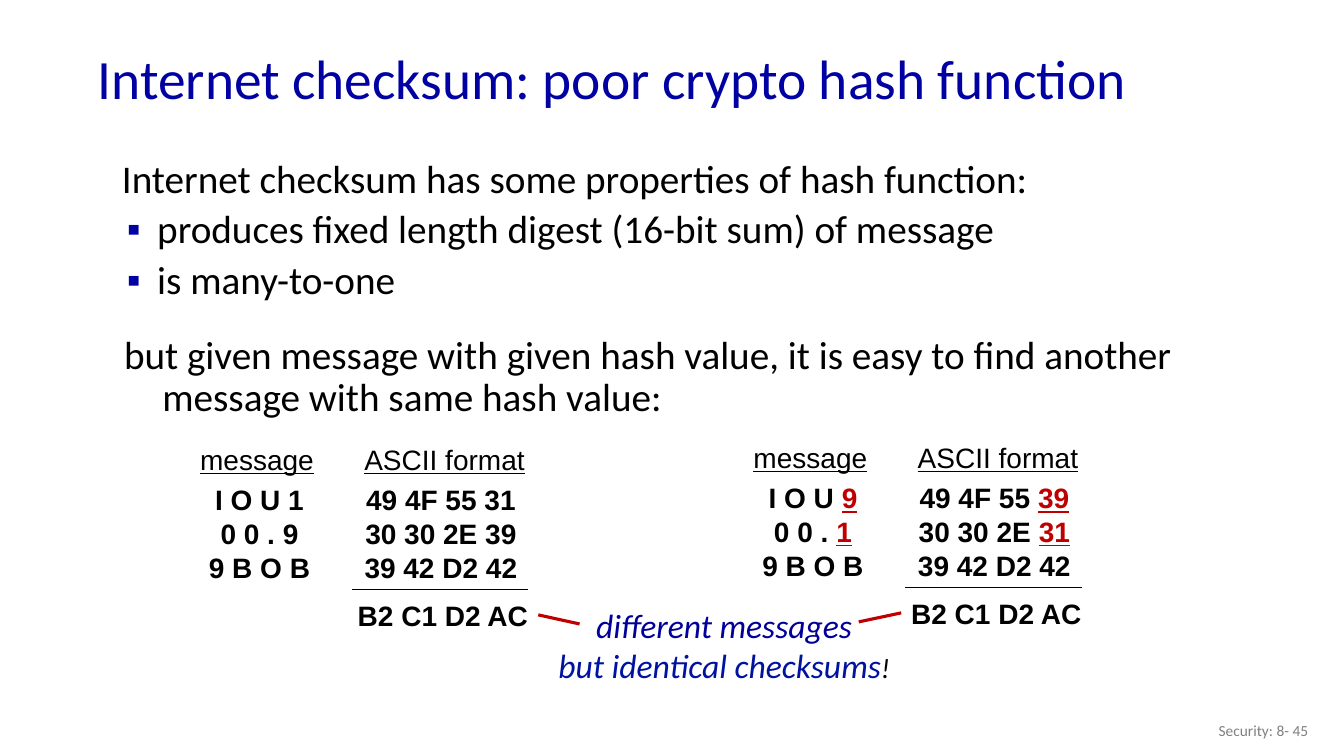
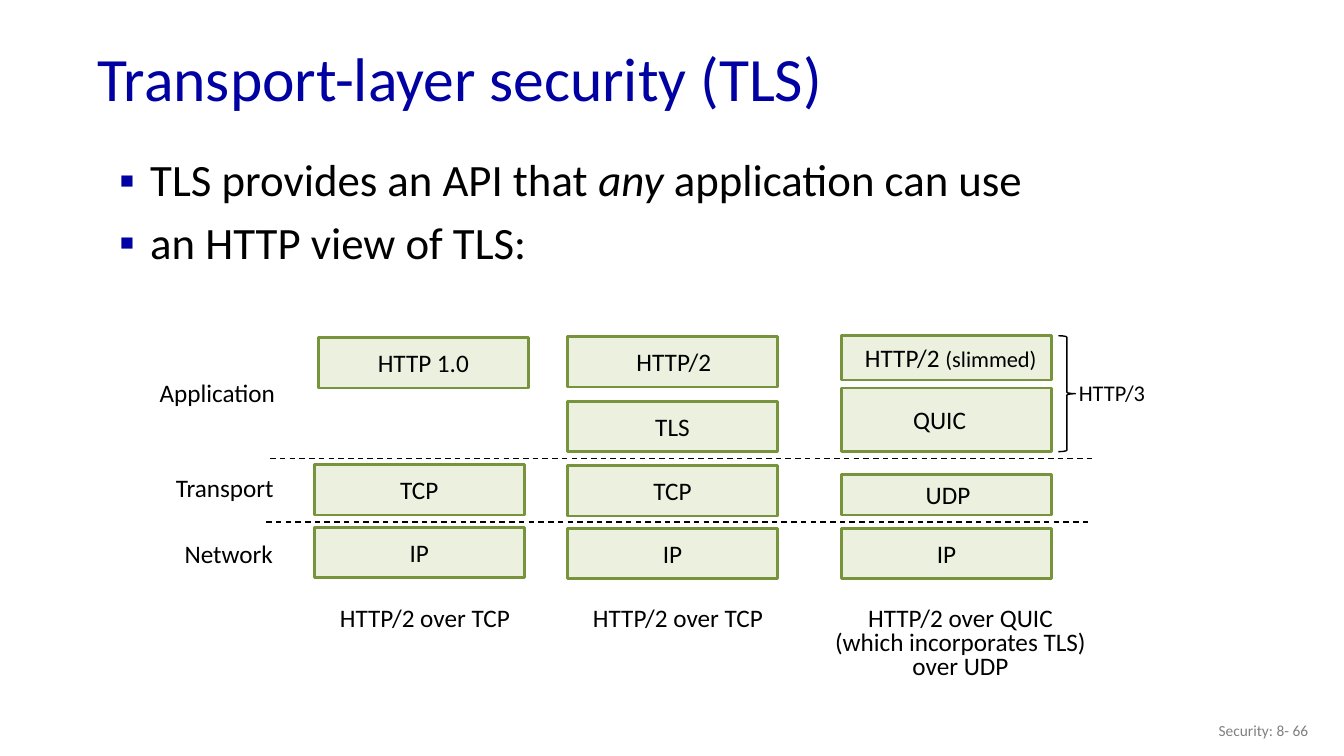
"""Build two network security slides: checksum weakness and the TLS stack."""
from lxml import etree
from pptx import Presentation
from pptx.dml.color import RGBColor
from pptx.enum.dml import MSO_LINE
from pptx.enum.shapes import MSO_CONNECTOR, MSO_SHAPE
from pptx.enum.text import MSO_ANCHOR, MSO_AUTO_SIZE, PP_ALIGN
from pptx.oxml.ns import qn
from pptx.util import Pt

LEFT, CENTER, RIGHT = PP_ALIGN.LEFT, PP_ALIGN.CENTER, PP_ALIGN.RIGHT
TOP, MIDDLE = MSO_ANCHOR.TOP, MSO_ANCHOR.MIDDLE
RECT, BRACE = MSO_SHAPE.RECTANGLE, MSO_SHAPE.RIGHT_BRACE
STRAIGHT, DASH = MSO_CONNECTOR.STRAIGHT, MSO_LINE.DASH


class Theme:
    sans, mono_like = "Calibri", "Arial"
    title, black, grey = "0000A3", "000000", "808080"
    red, note, note_alt = "C00000", "000099", "0012A0"
    box_fill, box_line = "EBF1DE", "77933C"
    body, body_large, callout = 28, 32, 24
    code, label, small, footer = 20, 18, 16, 11


def changed(text):
    return text, {"color": Theme.red, "underline": True}


CHECKSUM = {
    "title": "Internet checksum: poor crypto hash function",
    "title_size": 39.6,
    "number": "45",
    "body_box": (69.1, 110.2, 809.3, 120),
    "body": [
        (["Internet checksum has some properties of hash function:"],
         {"before": 10, "indent": (28.1, -17.3)}),
        (["produces fixed length digest (16-bit sum) of message"],
         {"before": 6, "indent": (36, -21.6), "bullet": True}),
        (["is many-to-one"],
         {"before": 6, "indent": (36, -21.6), "bullet": True}),
    ],
}
BUT_GIVEN = ("but given message with given hash value, it is easy to find "
             "another message with same hash value:")
MESSAGES = [
    (0, 0,
     [["I O U 1"], ["0 0 . 9"], ["9 B O B"]],
     [["49 4F 55 31"], ["30 30 2E 39"], ["39 42 D2 42"]]),
    (395.3, -1.4,
     [["I O U ", changed("9")], ["0 0 . ", changed("1")], ["9 B O B"]],
     [["49 4F 55 ", changed("39")], ["30 30 2E ", changed("31")],
      ["39 42 D2 42"]]),
]
CALLOUT = [
    ["different messages"],
    [("but identical checksums", {"color": Theme.note_alt}),
     ("!", {"color": Theme.black, "size": Theme.code})],
]
CALLOUT_LINKS = [(414, 445.7, 384.5, 439.2), (613.4, 444.2, 643.7, 437.8)]

TLS = {
    "title": "Transport-layer security (TLS)",
    "title_size": 44,
    "number": "66",
    "body_box": (77.8, 109.4, 856.8, 128),
    "body": [
        (["TLS provides an API that ", ("any", {"italic": True}),
          " application can use"],
         {"before": 10, "indent": (22.3, -22.3), "bullet": True}),
        (["an HTTP view of TLS:"],
         {"before": 10, "indent": (22.3, -22.3), "bullet": True}),
    ],
}
BOX_W, BOX_H = 149.8, 36
STACKS = [
    {"x": 224.6, "caption": ["HTTP/2 over TCP"], "caption_dx": 4,
     "boxes": [(2.9, 241.2, BOX_H, ["HTTP 1.0"], 0),
               (0, 331.9, BOX_H, ["TCP"], 0),
               (0, 376.6, BOX_H, ["IP"], 0)]},
    {"x": 405.4, "caption": ["HTTP/2 over TCP"], "caption_dx": 4,
     "boxes": [(0, 240.5, BOX_H, ["HTTP/2"], 1),
               (0, 286.6, BOX_H, ["TLS"], 0),
               (0, 332.6, BOX_H, ["TCP"], 0),
               (0, 377.3, BOX_H, ["IP"], 0)]},
    {"x": 601.2, "caption_dx": 10,
     "caption": ["HTTP/2 over QUIC", "(which incorporates TLS)", "over UDP"],
     "boxes": [(0, 239.8, 31.7,
                ["HTTP/2 ", ("(slimmed)", {"size": Theme.small})], 3),
               (0, 277.2, 45.4, ["QUIC"], -5),
               (0, 339.1, 28.8, ["UDP"], 1),
               (0, 377.3, BOX_H, ["IP"], 0)]},
]
LAYER_LABELS = [
    ("Application", 196.5, 269.3, Theme.label),
    ("Transport", 195.5, 337.7, Theme.label),
    ("Network", 195, 384.5, Theme.label),
    ("HTTP/3", 818, 270.7, Theme.small),
]
LAYER_BORDERS = [(193, 327.6, 779.8, 327.6), (190.1, 373, 778.3, 373)]
HTTP3_BRACE = (756, 239.8, 12.2, 82.8)


def rgb(color):
    return RGBColor.from_string(color)


def pts(values):
    return [Pt(v) for v in values]


def add_runs(p, runs, size, color=Theme.black, font=Theme.sans, **style):
    base = {"size": size, "color": color, "font": font, **style}
    for run in runs:
        text, extra = (run, {}) if isinstance(run, str) else run
        look = {**base, **extra}
        r = p.add_run()
        r.text = text
        r.font.name = look["font"]
        r.font.size = Pt(look["size"])
        r.font.color.rgb = rgb(look["color"])
        r.font.bold = look.get("bold", False)
        r.font.italic = look.get("italic", False)
        r.font.underline = look.get("underline", False)


def fill_text(tf, paragraphs, align=LEFT, spacing=1.0, **style):
    for i, runs in enumerate(paragraphs):
        p = tf.add_paragraph() if i else tf.paragraphs[0]
        p.alignment = align
        p.line_spacing = spacing
        add_runs(p, runs, **style)


def set_indent(p, indent, bullet=False):
    ppr = p._p.get_or_add_pPr()
    margin, first = pts(indent)
    ppr.set("marL", str(margin))
    ppr.set("indent", str(first))
    if not bullet:
        etree.SubElement(ppr, qn("a:buNone"))
        return
    color = etree.SubElement(ppr, qn("a:buClr"))
    etree.SubElement(color, qn("a:srgbClr"), val=Theme.title)
    etree.SubElement(ppr, qn("a:buFont"), typeface=Theme.mono_like)
    etree.SubElement(ppr, qn("a:buChar"), char="▪")


def add_text(slide, box, paragraphs, anchor=TOP, **style):
    tf = slide.shapes.add_textbox(*pts(box)).text_frame
    tf.word_wrap = True
    tf.margin_left = tf.margin_right = tf.margin_top = tf.margin_bottom = 0
    tf.vertical_anchor = anchor
    fill_text(tf, paragraphs, **style)
    return tf


def add_line(slide, ends, color, width, dash=None):
    line = slide.shapes.add_connector(STRAIGHT, *pts(ends))
    line.line.color.rgb = rgb(color)
    line.line.width = Pt(width)
    if dash:
        line.line.dash_style = dash
    etree.SubElement(line._element.spPr, qn("a:effectLst"))


def add_shape(slide, kind, box, line, width, fill=None):
    sp = slide.shapes.add_shape(kind, *pts(box))
    sp.shadow.inherit = False
    sp.line.color.rgb = rgb(line)
    sp.line.width = Pt(width)
    if fill:
        sp.fill.solid()
        sp.fill.fore_color.rgb = rgb(fill)
    else:
        sp.fill.background()
    return sp


def place(sp, box):
    sp.left, sp.top, sp.width, sp.height = pts(box)
    sp.text_frame.auto_size = MSO_AUTO_SIZE.NONE
    return sp.text_frame


def add_slide(prs, content, body_size):
    slide = prs.slides.add_slide(prs.slide_layouts[1])
    tf = place(slide.shapes.title, (62.6, 23, 830, 70.6))
    tf.vertical_anchor = MIDDLE
    fill_text(tf, [[content["title"]]], spacing=0.9,
              size=content["title_size"], color=Theme.title)
    tf = place(slide.placeholders[1], content["body_box"])
    fill_text(tf, [runs for runs, _ in content["body"]], spacing=0.9,
              size=body_size)
    for p, (_, layout) in zip(tf.paragraphs, content["body"]):
        p.space_before = Pt(layout["before"])
        set_indent(p, layout["indent"], layout.get("bullet", False))
    add_text(slide, (725.8, 507.6, 208.8, 28.8),
             [["Security: 8- " + content["number"]]], anchor=MIDDLE,
             align=RIGHT, size=Theme.footer, color=Theme.grey)
    return slide


def add_message(slide, dx, dy, message, codes):
    columns = [
        (183.6, 316, [["message"]], {"underline": True}),
        (317.6, 316, [["ASCII format"]], {"underline": True}),
        (185.4, 344.9, message, {"bold": True}),
        (315, 344.9, codes, {"bold": True}),
        (316.4, 427.7, [["B2 C1 D2 AC"]], {"bold": True}),
    ]
    width = 130
    for center, y, paragraphs, style in columns:
        box = (center - width / 2 + dx, y + dy, width, 24 * len(paragraphs))
        add_text(slide, box, paragraphs, align=CENTER, size=Theme.code,
                 font=Theme.mono_like, **style)
    y = 421.2 + dy
    add_line(slide, (251.3 + dx, y, 377.3 + dx, y), Theme.black, 0.75)


def build_checksum(prs):
    slide = add_slide(prs, CHECKSUM, Theme.body)
    tf = add_text(slide, (88.6, 239.8, 794.9, 70), [[BUT_GIVEN]],
                  spacing=0.9, size=Theme.body)
    tf.paragraphs[0].space_before = Pt(6)
    set_indent(tf.paragraphs[0], (27.4, -27.4))
    for message in MESSAGES:
        add_message(slide, *message)
    add_text(slide, (387.3, 432, 260, 58), CALLOUT, align=CENTER,
             size=Theme.callout, color=Theme.note, italic=True)
    for ends in CALLOUT_LINKS:
        add_line(slide, ends, Theme.red, 2.25)


def add_stack(slide, stack):
    x = stack["x"]
    for dx, y, height, runs, shift in stack["boxes"]:
        sp = add_shape(slide, RECT, (x + dx, y, BOX_W, height),
                       Theme.box_line, 2, Theme.box_fill)
        tf = sp.text_frame
        tf.margin_left, tf.margin_right = Pt(8 + shift), Pt(8 - shift)
        tf.margin_top = tf.margin_bottom = 0
        tf.vertical_anchor = MIDDLE
        fill_text(tf, [runs], align=CENTER, size=Theme.label)
    width = 200
    left = x + (BOX_W - width) / 2 + stack["caption_dx"]
    add_text(slide, (left, 434.2, width, 18 * len(stack["caption"])),
             [[line] for line in stack["caption"]], align=CENTER,
             spacing=0.8, size=Theme.label)


def build_tls(prs):
    slide = add_slide(prs, TLS, Theme.body_large)
    for stack in STACKS:
        add_stack(slide, stack)
    for ends in LAYER_BORDERS:
        add_line(slide, ends, Theme.black, 1, DASH)
    for text, right, y, size in LAYER_LABELS:
        add_text(slide, (right - 100, y, 100, 22), [[text]], align=RIGHT,
                 size=size)
    add_shape(slide, BRACE, HTTP3_BRACE, Theme.black, 1)


def main():
    prs = Presentation()
    prs.slide_width, prs.slide_height = Pt(960), Pt(540)
    build_checksum(prs)
    build_tls(prs)
    prs.save("out.pptx")


if __name__ == "__main__":
    main()
